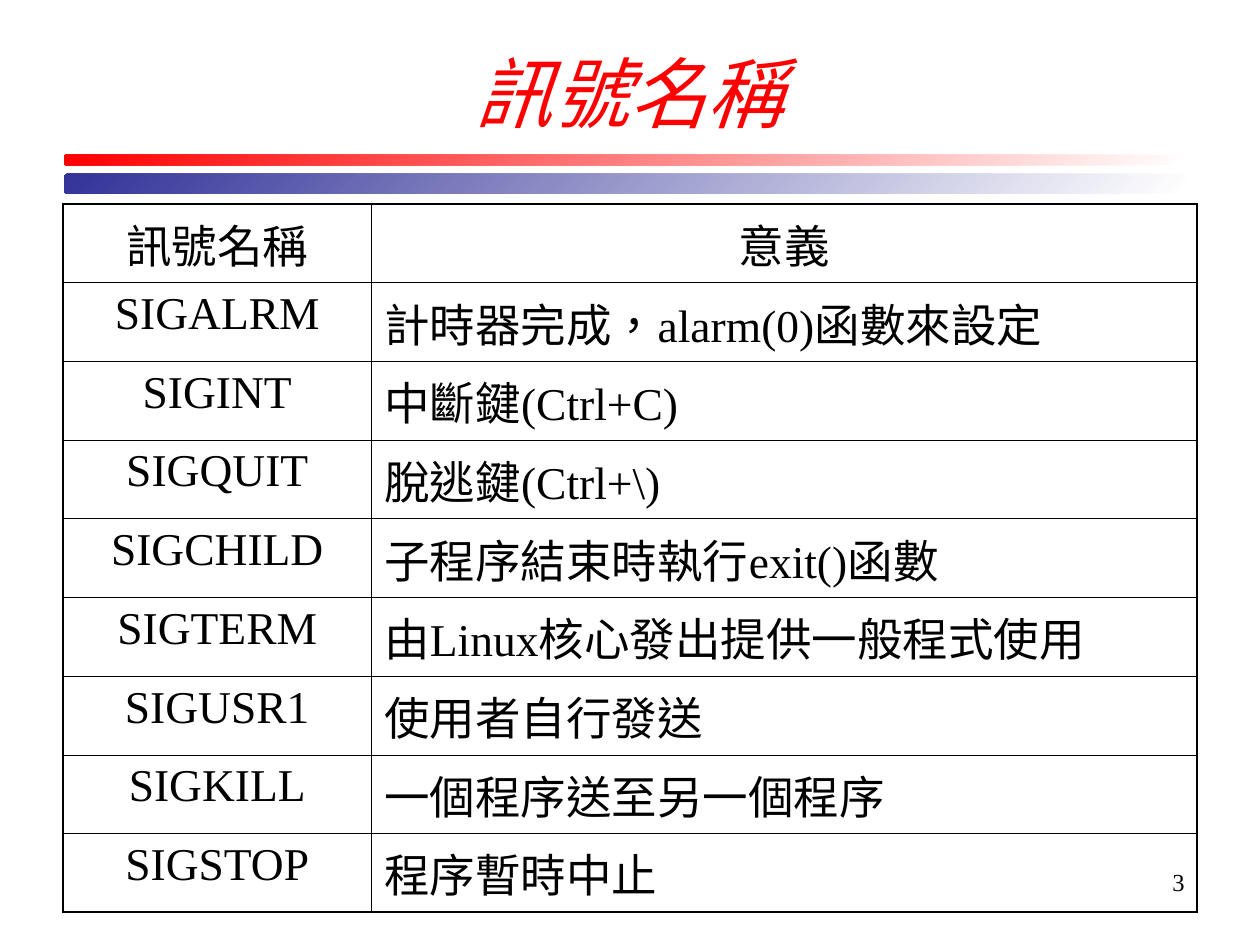
from dataclasses import dataclass

from lxml import etree
from pptx import Presentation
from pptx.dml.color import RGBColor
from pptx.enum.shapes import MSO_SHAPE
from pptx.enum.text import MSO_ANCHOR, PP_ALIGN
from pptx.oxml.ns import qn
from pptx.util import Inches, Pt

ROUND = MSO_SHAPE.ROUNDED_RECTANGLE
MIDDLE, TOP = MSO_ANCHOR.MIDDLE, MSO_ANCHOR.TOP
LEFT, CENTER, RIGHT = PP_ALIGN.LEFT, PP_ALIGN.CENTER, PP_ALIGN.RIGHT


@dataclass(frozen=True)
class Theme:
    """Colours, type sizes and line widths of the deck."""

    font: str = "Times New Roman"
    lang: str = "zh-TW"
    ink: str = "000000"
    red: str = "FF0000"
    blue: str = "333399"
    white: str = "FFFFFF"
    title: int = 44
    body: int = 26
    small: int = 14
    thin: float = 0.45
    thick: float = 1.08


THEME = Theme()
WIDE, HIGH = Inches(10), Inches(7.5)
COLUMNS = (2.45, 6.55)
SIGNALS = (
    ("訊號名稱", "意義"),
    ("SIGALRM", "計時器完成，alarm(0)函數來設定"),
    ("SIGINT", "中斷鍵(Ctrl+C)"),
    ("SIGQUIT", "脫逃鍵(Ctrl+\\)"),
    ("SIGCHILD", "子程序結束時執行exit()函數"),
    ("SIGTERM", "由Linux核心發出提供一般程式使用"),
    ("SIGUSR1", "使用者自行發送"),
    ("SIGKILL", "一個程序送至另一個程序"),
    ("SIGSTOP", "程序暫時中止"),
)


def inch(*box):
    """Turn a box in inches into slide units."""
    return tuple(Inches(part) for part in box)


def write(frame, text, size, color, align, italic=False):
    """Put one styled paragraph into a text frame."""
    para = frame.paragraphs[0]
    para.text = text
    para.alignment = align
    para.runs[0]._r.get_or_add_rPr().set("lang", THEME.lang)
    font = para.font
    font.name, font.size = THEME.font, Pt(size)
    font.bold, font.italic = False, italic
    font.color.rgb = RGBColor.from_string(color)


def label(slide, box, text, size, color, align, anchor=TOP, italic=False):
    """Place a line of text in the box."""
    frame = slide.shapes.add_textbox(*box).text_frame
    frame.word_wrap = True
    frame.vertical_anchor = anchor
    write(frame, text, size, color, align, italic)


def bar(slide, box, color):
    """Place a rounded bar that fades to white on the right."""
    shape = slide.shapes.add_shape(ROUND, *box)
    shape.shadow.inherit = False
    shape.line.fill.background()
    shape.fill.gradient()
    shape.fill.gradient_angle = 135
    for stop, tone in zip(shape.fill.gradient_stops, (THEME.white, color)):
        stop.color.rgb = RGBColor.from_string(tone)


def edge(cell, sides):
    """Draw the cell borders, thick where the side is an outer one."""
    props = cell._tc.get_or_add_tcPr()
    for spot, (side, outer) in enumerate(sides.items()):
        width = THEME.thick if outer else THEME.thin
        line = etree.Element(qn(f"a:ln{side}"), w=str(Pt(width)))
        fill = etree.SubElement(line, qn("a:solidFill"))
        etree.SubElement(fill, qn("a:srgbClr"), val=THEME.ink)
        props.insert(spot, line)


def grid(slide, box, rows, parts):
    """Place the ruled table of signals in the box."""
    last, end = len(rows) - 1, len(parts) - 1
    table = slide.shapes.add_table(len(rows), len(parts), *box).table
    table.first_row = table.horz_banding = False
    for column, part in zip(table.columns, parts):
        column.width = round(box[2] * part / sum(parts))
    for r, row in enumerate(rows):
        for c, text in enumerate(row):
            cell = table.cell(r, c)
            cell.fill.background()
            align = LEFT if r and c else CENTER
            write(cell.text_frame, text, THEME.body, THEME.ink, align)
            edge(cell, {"L": c == 0, "R": c == end, "T": r == 0, "B": r == last})


def build(slide):
    """Lay out the title, bars, table and page number."""
    bar(slide, inch(0.51, 1.23, 8.9, 0.08), THEME.red)
    bar(slide, inch(0.51, 1.38, 8.9, 0.16), THEME.blue)
    label(slide, inch(0.5, 0.3, 9, 0.85), "訊號名稱", THEME.title, THEME.red,
          CENTER, MIDDLE, True)
    grid(slide, inch(0.5, 1.62, 9, 5.62), SIGNALS, COLUMNS)
    label(slide, inch(7.17, 6.83, 2.33, 0.52), "3", THEME.small, THEME.ink, RIGHT)


def main():
    """Make the deck and save it."""
    deck = Presentation()
    deck.slide_width, deck.slide_height = WIDE, HIGH
    build(deck.slides.add_slide(deck.slide_layouts[6]))
    deck.save("out.pptx")


if __name__ == "__main__":
    main()
